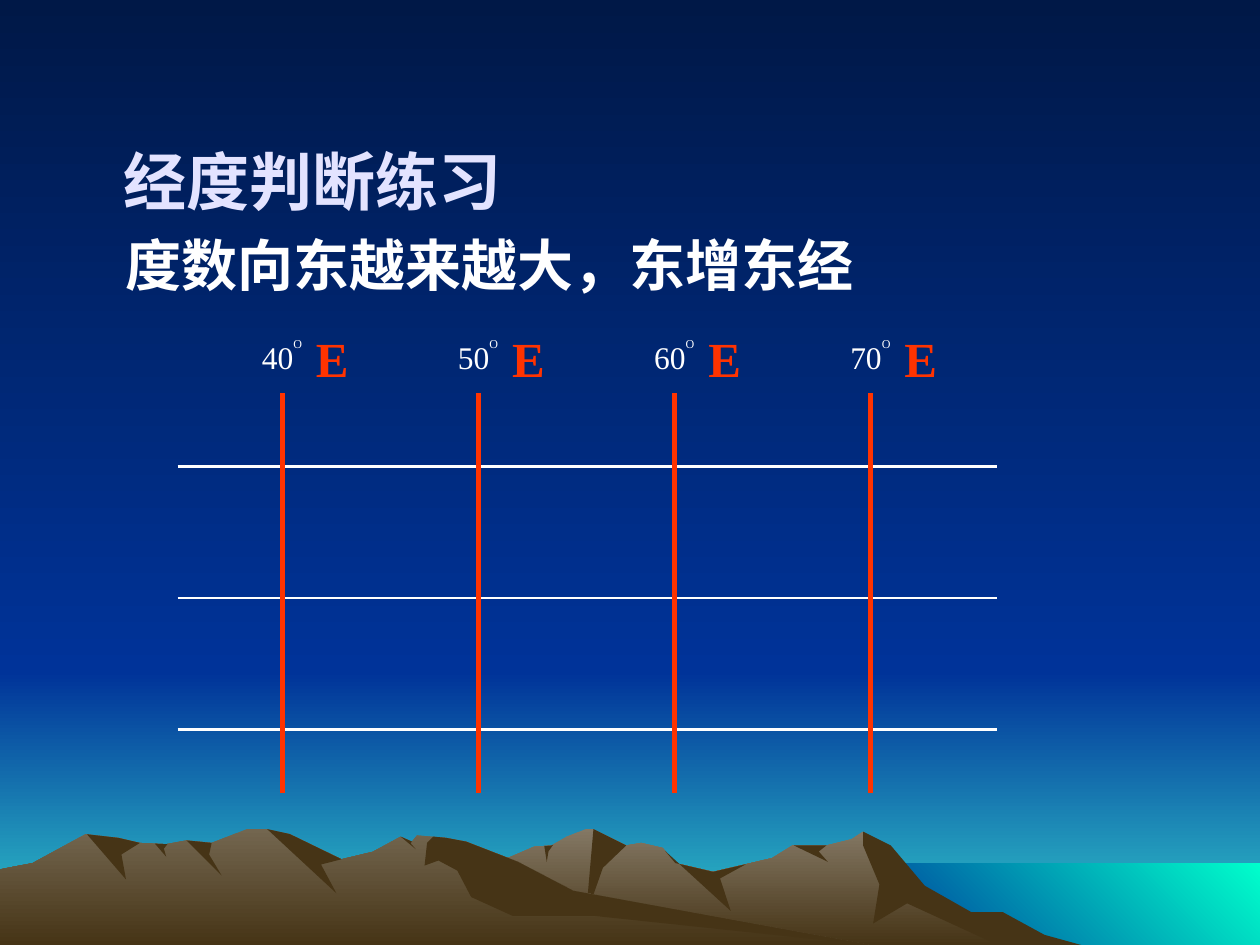
from dataclasses import dataclass
from lxml.etree import SubElement
from pptx import Presentation
from pptx.dml.color import RGBColor
from pptx.enum.shapes import MSO_CONNECTOR
from pptx.enum.text import MSO_AUTO_SIZE
from pptx.oxml.ns import qn
from pptx.util import Inches, Pt

WIDTH, HEIGHT = 10, 7.5
NIGHT, BLUE, TEAL, MINT = "001847", "003399", "33CCCC", "00FFCC"
BROWN, WHITE, RED, LILAC = "463416", "FFFFFF", "FF3300", "E3E3FF"
HAN, ROMAN = "Noto Sans CJK SC", "Times New Roman"
DOWN, RISE = 270, 45
DUSK = 5.33              # where the night sky meets the glow
SEA = (6.83, 6.85)       # top left corner of the water
LEFT, RIGHT = 1.41, 7.91     # ends of the parallels
TOP, BASE = 3.12, 6.29       # ends of the meridians


@dataclass
class Ridge:
    """A mountain range: skyline from left to right, and its shadows.

    A gully is (left x, right x, tip); a slope is a free outline.
    """
    light: str
    skyline: list
    gullies: list
    slope: list


FAR = Ridge(
    light="847864",
    skyline=[(2.58, 7.5), (3.27, 7.09), (3.94, 6.85), (4.24, 6.72),
             (4.38, 6.71), (4.5, 6.64), (4.65, 6.58), (4.71, 6.58),
             (4.97, 6.71), (5.09, 6.69), (5.26, 6.73), (5.36, 6.85),
             (5.66, 6.92), (6.13, 6.81), (6.29, 6.71), (6.56, 6.71),
             (6.76, 6.66), (6.85, 6.6), (7.02, 6.71), (7.23, 6.98),
             (7.64, 7.23), (8.21, 7.5)],
    gullies=[(4.32, 4.39, (4.34, 6.84)), (4.71, 4.97, (4.65, 7.27)),
             (5.28, 5.92, (5.8, 7.23)), (6.3, 6.56, (6.57, 6.84))],
    slope=[(6.85, 6.6), (7.07, 6.71), (7.34, 7.03), (7.71, 7.24),
           (7.96, 7.24), (8.29, 7.42), (8.58, 7.5), (7.92, 7.5),
           (7.2, 7.17), (6.93, 7.33), (6.98, 7.02), (6.85, 6.71)])
NEAR = Ridge(
    light="73664F",
    skyline=[(0, 6.9), (0.26, 6.85), (0.68, 6.62), (0.94, 6.65),
             (1.11, 6.69), (1.32, 6.7), (1.48, 6.67), (1.68, 6.69),
             (1.96, 6.58), (2.12, 6.58), (2.3, 6.62), (2.71, 6.82),
             (2.96, 6.76), (3.18, 6.64), (3.27, 6.68), (3.31, 6.63),
             (3.54, 6.65), (3.7, 6.68), (4.11, 6.84), (4.55, 7.07),
             (6.9, 7.5)],
    gullies=[(0.69, 1.11, (1, 6.98)), (1.23, 1.33, (1.32, 6.8)),
             (1.48, 1.68, (1.76, 6.95)), (2.12, 2.71, (2.67, 7.09)),
             (3.18, 3.27, (3.3, 6.74))],
    slope=[(3.44, 6.64), (3.54, 6.65), (3.7, 6.68), (4.11, 6.84),
           (4.55, 7.07), (6.9, 7.5), (4.72, 7.27), (4.07, 7.27),
           (3.74, 7.12), (3.63, 6.91), (3.48, 6.83), (3.37, 6.87),
           (3.39, 6.69)])


def color(code):
    return RGBColor.from_string(code)


def spread(first, last, count):
    """Give evenly spaced places from first to last."""
    step = (last - first) / (count - 1)
    return [first + i * step for i in range(count)]


def between(start, end, share):
    return tuple(a + (b - a) * share for a, b in zip(start, end))


def blend(fill, first, last, angle=DOWN):
    """Fill with a linear two-colour gradient."""
    fill.gradient()
    fill.gradient_angle = angle
    for stop, code, place in zip(fill.gradient_stops, (first, last), (0, 1)):
        stop.color.rgb = color(code)
        stop.position = place


def add_patch(slide, points, *codes, angle=DOWN):
    """Draw a closed outline, filled plain or with a gradient."""
    start, *rest = [(Inches(x), Inches(y)) for x, y in points]
    maker = slide.shapes.build_freeform(*start)
    maker.add_line_segments(rest, close=True)
    shape = maker.convert_to_shape()
    shape.shadow.inherit = False
    shape.line.fill.background()
    if len(codes) == 2:
        blend(shape.fill, *codes, angle=angle)
    else:
        shape.fill.solid()
        shape.fill.fore_color.rgb = color(codes[0])


def add_block(slide, left, top, base, *codes, angle=DOWN):
    """Draw a band that runs to the right edge."""
    points = [(left, top), (WIDTH, top), (WIDTH, base), (left, base)]
    add_patch(slide, points, *codes, angle=angle)


def find_crest(skyline, x):
    """Give the point of the skyline above x."""
    for start, end in zip(skyline, skyline[1:]):
        if start[0] <= x <= end[0]:
            return between(start, end, (x - start[0]) / (end[0] - start[0]))


def add_gully(slide, skyline, left, right, tip):
    """Shade a cleft that hangs from the skyline and bends to its tip."""
    inner = [point for point in skyline if left < point[0] < right]
    start, end = find_crest(skyline, left), find_crest(skyline, right)
    elbow = between(between(end, tip, 0.5), start, 0.25)
    add_patch(slide, [start, *inner, end, elbow, tip], BROWN)


def add_ridge(slide, ridge):
    line = ridge.skyline
    foot = [(line[-1][0], HEIGHT), (line[0][0], HEIGHT)]
    add_patch(slide, line + foot, ridge.light, BROWN)
    add_patch(slide, ridge.slope, BROWN)
    for gully in ridge.gullies:
        add_gully(slide, line, *gully)


def add_line(slide, x1, y1, x2, y2, code, weight):
    line = slide.shapes.add_connector(
        MSO_CONNECTOR.STRAIGHT, *map(Inches, (x1, y1, x2, y2)))
    line.line.color.rgb = color(code)
    line.line.width = Pt(weight)
    SubElement(line._element.spPr, qn("a:effectLst"))


def style(run, size, face, code, bold=False):
    font = run.font
    font.size, font.name, font.bold = Pt(size), face, bold
    font.color.rgb = color(code)
    east = SubElement(run._r.get_or_add_rPr(), qn("a:ea"))
    east.set("typeface", face)


def add_text(slide, box, text, size, face, code, bold=False, wrap=True):
    shape = slide.shapes.add_textbox(*map(Inches, box))
    frame = shape.text_frame
    frame.text = text
    frame.word_wrap = wrap
    frame.auto_size = MSO_AUTO_SIZE.NONE
    style(frame.paragraphs[0].runs[0], size, face, code, bold)
    return frame


def add_degree(slide, x, value):
    """Label a meridian with its number, a raised O and a red E."""
    box = (x - 0.26, 2.62, 0.77, 0.5)
    frame = add_text(slide, box, str(value), 18, ROMAN, WHITE)
    ring = frame.paragraphs[0].add_run()
    ring.text = "O"
    style(ring, 12, ROMAN, WHITE)
    ring._r.get_or_add_rPr().set("baseline", "100000")
    add_text(slide, (x + 0.17, 2.56, 0.46, 0.57), "E", 28, ROMAN, RED,
             bold=True, wrap=False)


def add_scene(slide):
    blend(slide.background.fill, NIGHT, BLUE)
    add_block(slide, 0, DUSK, HEIGHT, BLUE, TEAL)
    add_block(slide, 0, 0, DUSK, NIGHT, BLUE)
    add_block(slide, *SEA, HEIGHT, BLUE, MINT, angle=RISE)
    for ridge in (FAR, NEAR):
        add_ridge(slide, ridge)


def add_titles(slide):
    title = add_text(slide, (0.98, 1.13, 3, 0.5), "经度判断练习", 36, HAN,
                     LILAC, bold=True, wrap=False)
    title.margin_left = title.margin_right = 0
    title.margin_top = title.margin_bottom = 0
    add_text(slide, (0.9, 1.78, 8.33, 0.64), "度数向东越来越大，东增东经",
             32, HAN, WHITE, bold=True)


def add_grid(slide):
    for y in spread(3.7, 5.79, 3):
        add_line(slide, LEFT, y, RIGHT, y, WHITE, 1.5)
    values = range(40, 80, 10)
    for x, value in zip(spread(2.24, 6.91, len(values)), values):
        add_degree(slide, x, value)
        add_line(slide, x, TOP, x, BASE, RED, 3)


def main():
    deck = Presentation()
    deck.slide_width, deck.slide_height = Inches(WIDTH), Inches(HEIGHT)
    slide = deck.slides.add_slide(deck.slide_layouts[6])
    add_scene(slide)
    add_titles(slide)
    add_grid(slide)
    deck.save("out.pptx")


if __name__ == "__main__":
    main()
